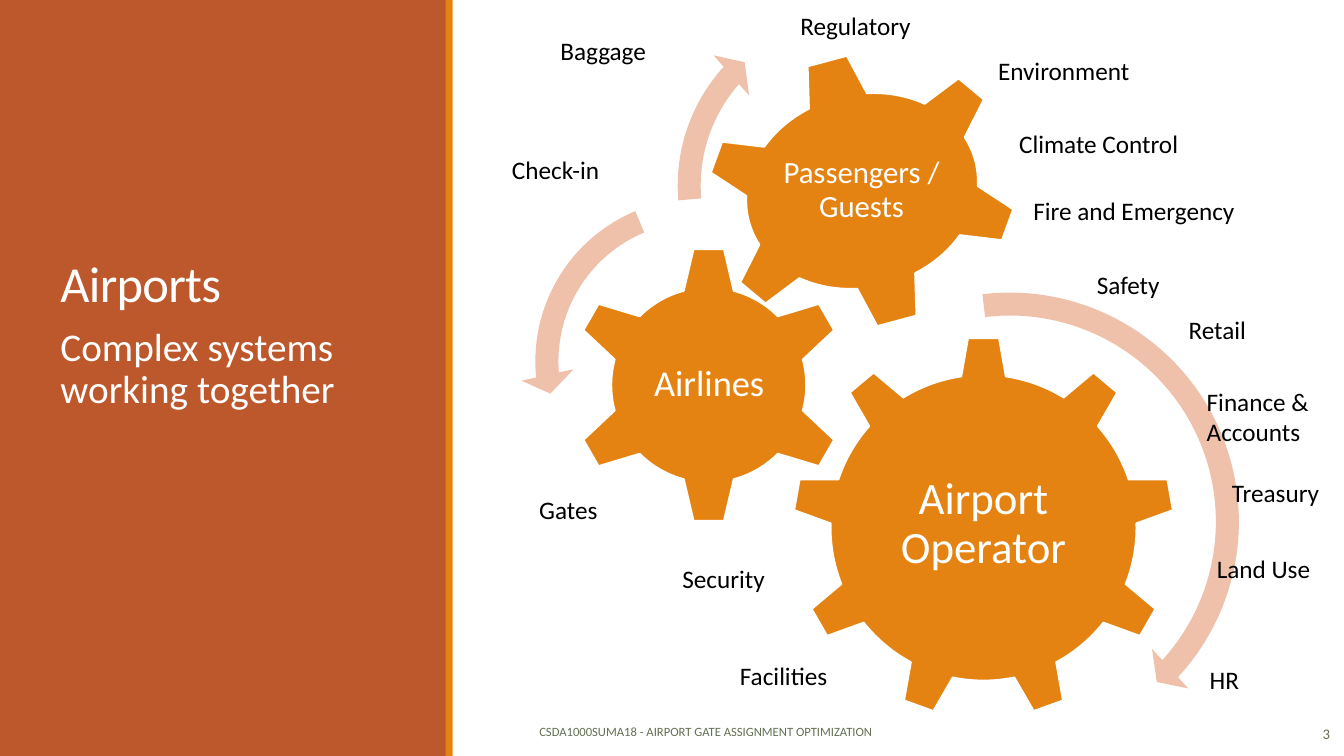
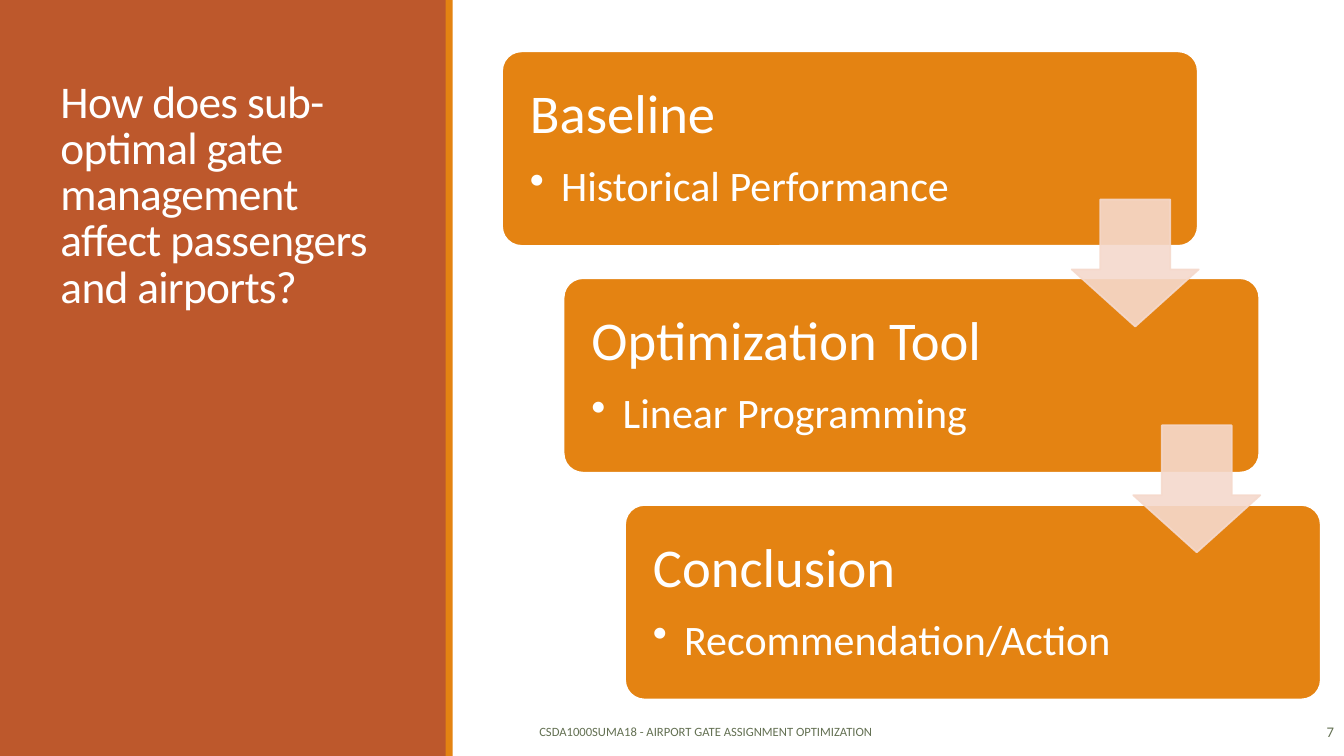
from lxml import etree
from pptx import Presentation
from pptx.dml.color import RGBColor
from pptx.enum.shapes import MSO_SHAPE
from pptx.enum.text import MSO_ANCHOR, MSO_AUTO_SIZE, PP_ALIGN
from pptx.oxml.ns import qn
from pptx.util import Emu, Pt

PX = 9144  # 100 px to the inch
WIDTH, HEIGHT = 1333, 750
FONT = "Calibri"
COLORS = {
    "rust": "BD582C",
    "orange": "E48312",
    "peach": "EFC1AB",
    "pale": "F5D9CC",
    "olive": "637052",
    "white": "FFFFFF",
    "black": "000000",
}
RECT, ROUND_RECT = MSO_SHAPE.RECTANGLE, MSO_SHAPE.ROUNDED_RECTANGLE
GEAR_6, GEAR_9 = MSO_SHAPE.GEAR_6, MSO_SHAPE.GEAR_9
ARC_RIGHT, ARC_LEFT = MSO_SHAPE.CIRCULAR_ARROW, MSO_SHAPE.LEFT_CIRCULAR_ARROW
DOWN_ARROW = MSO_SHAPE.DOWN_ARROW
LEFT, CENTER, RIGHT = PP_ALIGN.LEFT, PP_ALIGN.CENTER, PP_ALIGN.RIGHT
TOP, MIDDLE, BOTTOM = MSO_ANCHOR.TOP, MSO_ANCHOR.MIDDLE, MSO_ANCHOR.BOTTOM
TITLE_AND_BODY, TITLE_ONLY = 1, 5

FOOTER = "CSDA1000SUMA18 - AIRPORT GATE ASSIGNMENT OPTIMIZATION"

# Shape, box, rotation, then caption, its box and its size
GEARS = [
    (GEAR_9, (786, 334, 379, 379), 0, "Airport Operator", (862, 423, 227, 195), 32),
    (GEAR_6, (565, 244, 276, 276), 0, "Airlines", (635, 314, 137, 136), 26),
    (GEAR_6, (698, 53, 314, 273), 345, "Passengers / Guests", (769, 110, 171, 158), 22),
]
ARCS = [
    (ARC_RIGHT, (759, 275, 485, 485), (0.047, 2.99, 25.509, 157.884, 0.055)),
    (ARC_LEFT, (516, 182, 353, 353), (0.065, 4.3, 104.891, 148.378, 0.075)),
    (ARC_RIGHT, (657, -6, 380, 380), (0.06, 3.941, 133.138, 105.082, 0.07)),
]
# Text, left, top, width
LABELS = [
    ("Baggage", 546, 30, 122),
    ("Check-in", 498, 148, 127),
    ("Gates", 525, 485, 87),
    ("Security", 667, 554, 116),
    ("Regulatory", 784, 5, 148),
    ("Environment", 980, 50, 168),
    ("Climate Control", 1001, 122, 205),
    ("Fire and Emergency", 1015, 189, 255),
    ("Safety", 1078, 262, 91),
    ("Retail", 1169, 307, 86),
    ("Finance & Accounts", 1187, 378, 146),
    ("Treasury", 1212, 469, 121),
    ("Land Use", 1197, 544, 136),
    ("Facilities", 724, 650, 147),
    ("HR", 1190, 654, 143),
]
STEPS = [
    ("Baseline", "Historical Performance"),
    ("Optimization Tool", "Linear Programming"),
    ("Conclusion", "Recommendation/Action"),
]


def px(*lengths):
    return [Emu(n * PX) for n in lengths]


def rgb(name):
    return RGBColor.from_string(COLORS[name])


# Text
def set_bullet(p, char=None, indent=0):
    pPr = p._p.get_or_add_pPr()
    pPr.set("marL", str(indent * PX))
    pPr.set("indent", str(-indent * PX))
    if char:
        etree.SubElement(pPr, qn("a:buChar"), char=char)
    else:
        etree.SubElement(pPr, qn("a:buNone"))


def write(p, text, size=18, color="white", align=LEFT, line=1.0, after=0, spacing=None):
    p.alignment = align
    p.line_spacing = line
    p.space_before, p.space_after = Pt(0), Pt(after)
    r = p.add_run()
    r.text = text
    r.font.name, r.font.size = FONT, Pt(size)
    r.font.color.rgb = rgb(color)
    if spacing is not None:
        r.font._element.set("spc", str(spacing))


def set_frame(tf, anchor=TOP, inset=None):
    tf.word_wrap = True
    tf.auto_size = MSO_AUTO_SIZE.NONE
    tf.vertical_anchor = anchor
    if inset is not None:
        (tf.margin_left, tf.margin_top,
         tf.margin_right, tf.margin_bottom) = px(*[inset] * 4)


def add_text(s, box, text, anchor=TOP, inset=None, **fmt):
    tf = s.shapes.add_textbox(*px(*box)).text_frame
    set_frame(tf, anchor, inset)
    write(tf.paragraphs[0], text, **fmt)


def fill_placeholder(sp, box, text, anchor=TOP, **fmt):
    sp.left, sp.top, sp.width, sp.height = px(*box)
    set_frame(sp.text_frame, anchor)
    p = sp.text_frame.paragraphs[0]
    set_bullet(p)
    write(p, text, **fmt)


# Shapes
def add_shape(s, kind, box, fill, line=None, adj=(), alpha=None):
    sp = s.shapes.add_shape(kind, *px(*box))
    sp.shadow.inherit = False
    sp.fill.solid()
    sp.fill.fore_color.rgb = rgb(fill)
    if line:
        sp.line.color.rgb = rgb(line)
        sp.line.width = Pt(1.25)
    else:
        sp.line.fill.background()
    for i, value in enumerate(adj):
        sp.adjustments[i] = value
    if alpha:
        for clr in sp.element.spPr.iter(qn("a:srgbClr")):
            etree.SubElement(clr, qn("a:alpha"), val=str(alpha * 1000))
    return sp


def add_card(s, box, heading, detail):
    sp = add_shape(s, ROUND_RECT, box, "orange", line="white", adj=[0.1])
    tf = sp.text_frame
    set_frame(tf, MIDDLE, inset=22)
    write(tf.paragraphs[0], heading, size=39, line=0.9, after=14)
    p = tf.add_paragraph()
    set_bullet(p, "•", 31)
    write(p, detail, size=30, line=0.9)


# Shared parts
def add_master_bands(prs, s):
    """Draw the side bands and move them to the back of the slide master."""
    bands = [((0, 0, 443, HEIGHT), "rust"), ((442, 0, 7, HEIGHT), "orange")]
    for i, (box, fill) in enumerate(bands):
        el = add_shape(s, RECT, box, fill).element
        el.nvSpPr.cNvPr.set("id", str(101 + i))
        prs.slide_master.shapes.element.insert(2 + i, el)


def new_slide(prs, layout, title, size, number, number_at):
    s = prs.slides.add_slide(prs.slide_layouts[layout])
    fill_placeholder(s.shapes.title, (50, 65, 350, 250), title, BOTTOM,
                     size=size, line=0.85, spacing=-50)
    add_text(s, (525, 706, 508, 40), FOOTER, MIDDLE, size=9, color="olive")
    add_text(s, (*number_at, 143, 40), number, MIDDLE,
             size=10.5, color="olive", align=RIGHT)
    return s


# Slides
def airports_slide(prs):
    s = new_slide(prs, TITLE_AND_BODY, "Airports", 36, "3", (1186, 708))
    add_master_bands(prs, s)
    fill_placeholder(s.placeholders[1], (50, 320, 350, 370),
                     "Complex systems working together", size=28, line=0.9, after=2)
    for kind, box, rotation, caption, caption_box, size in GEARS:
        gear = add_shape(s, kind, box, "orange", line="white")
        gear.rotation = rotation
        add_text(s, caption_box, caption, MIDDLE, inset=4,
                 size=size, align=CENTER, line=0.9)
    for kind, box, adj in ARCS:
        add_shape(s, kind, box, "peach", adj=adj)
    for text, x, y, w in LABELS:
        add_text(s, (x, y, w, 40), text, color="black")


def steps_slide(prs):
    title = "How does sub-optimal gate management affect passengers and airports?"
    s = new_slide(prs, TITLE_ONLY, title, 32.4, "7", (1190, 706))
    for i, (heading, detail) in enumerate(STEPS):
        add_card(s, (498 + 61 * i, 51 + 225 * i, 690, 193), heading, detail)
    for i in range(len(STEPS) - 1):
        add_shape(s, DOWN_ARROW, (1063 + 61 * i, 198 + 224 * i, 126, 126), "pale",
                  line="pale", adj=(0.55, 0.45), alpha=90)


def main():
    prs = Presentation()
    prs.slide_width, prs.slide_height = px(WIDTH, HEIGHT)
    airports_slide(prs)
    steps_slide(prs)
    prs.save("out.pptx")


if __name__ == "__main__":
    main()
